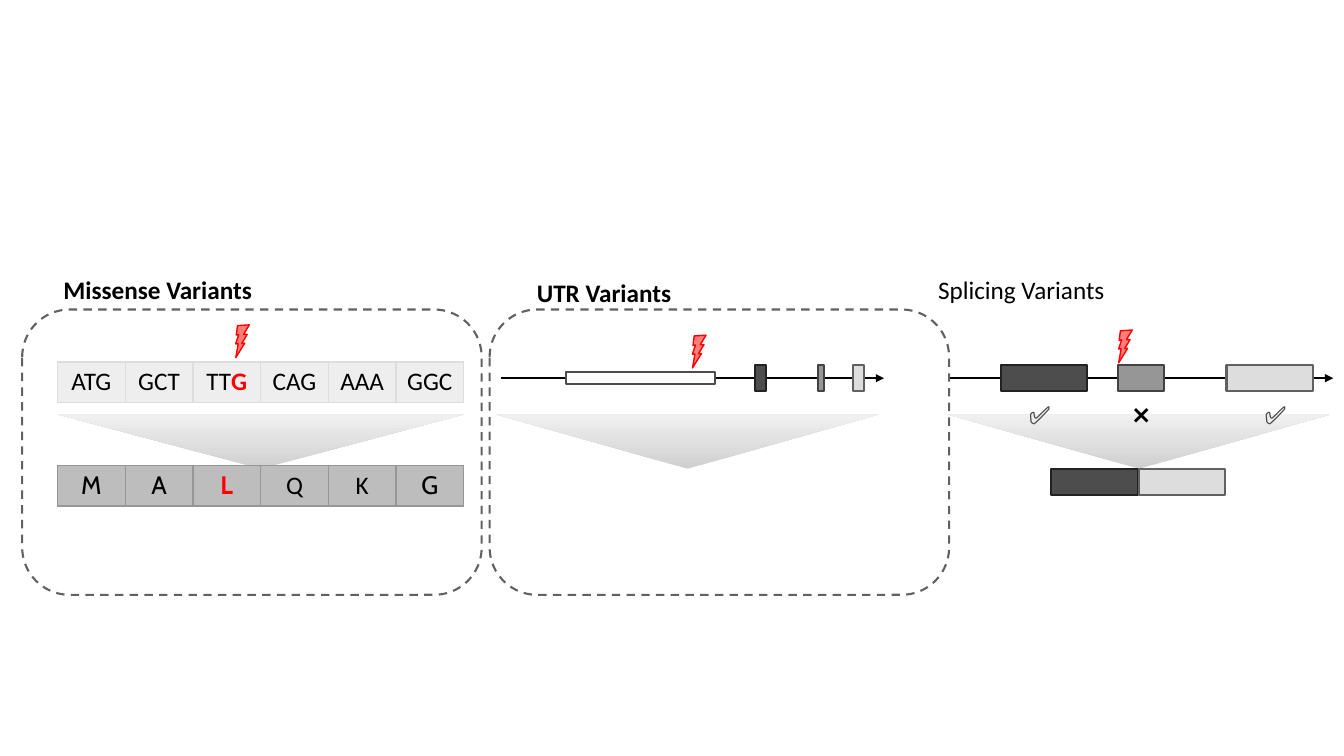
from lxml.etree import SubElement
from pptx import Presentation
from pptx.dml.color import RGBColor
from pptx.enum.dml import MSO_LINE
from pptx.enum.shapes import MSO_CONNECTOR, MSO_SHAPE
from pptx.enum.text import MSO_ANCHOR, PP_ALIGN
from pptx.oxml.ns import qn
from pptx.util import Cm, Pt

BLACK = RGBColor(0x00, 0x00, 0x00)
WHITE = RGBColor(0xFF, 0xFF, 0xFF)
RED = RGBColor(0xFF, 0x00, 0x00)
SALMON = RGBColor(0xFF, 0x7E, 0x79)
INK = RGBColor(0x22, 0x22, 0x22)
CHARCOAL = RGBColor(0x4D, 0x4D, 0x4D)
SLATE = RGBColor(0x42, 0x42, 0x42)
TICK_GRAY = RGBColor(0x47, 0x47, 0x47)
OUTLINE = RGBColor(0x61, 0x61, 0x61)
MID_GRAY = RGBColor(0x96, 0x96, 0x96)
SILVER = RGBColor(0xBD, 0xBD, 0xBD)
LIGHT_GRAY = RGBColor(0xDD, 0xDD, 0xDD)
PALE_GRAY = RGBColor(0xEE, 0xEE, 0xEE)
FUNNEL_DARK = RGBColor(0xD0, 0xD0, 0xD0)
FUNNEL_LIGHT = RGBColor(0xF0, 0xF0, 0xF0)

EXON_STYLES = [(CHARCOAL, INK), (MID_GRAY, SLATE), (LIGHT_GRAY, OUTLINE)]
EXON_HEIGHT = 0.66
PANEL_TOP, PANEL_WIDTH, PANEL_HEIGHT = 7.8, 11.58, 7.19
AXIS_DROP, FUNNEL_DROP = 1.73, 2.64
CODONS = [("ATG", ""), ("GCT", ""), ("TT", "G"), ("CAG", ""), ("AAA", ""), ("GGC", "")]
AMINO_ACIDS = [("M", ""), ("A", ""), ("", "L"), ("Q", ""), ("K", ""), ("G", "")]


def add_outlined(shapes, kind, left, top, width, height, fill, line, weight=1.5):
    outlined = shapes.add_shape(kind, Cm(left), Cm(top), Cm(width), Cm(height))
    outlined.shadow.inherit = False
    if fill is None:
        outlined.fill.background()
    else:
        outlined.fill.solid()
        outlined.fill.fore_color.rgb = fill
    outlined.line.color.rgb = line
    outlined.line.width = Pt(weight)
    return outlined


def add_exon(shapes, left, top, width, style, height=EXON_HEIGHT):
    add_outlined(shapes, MSO_SHAPE.RECTANGLE, left, top, width, height, *style)


def add_frame(shapes, left, top):
    frame = add_outlined(shapes, MSO_SHAPE.ROUNDED_RECTANGLE, left, top,
                         PANEL_WIDTH, PANEL_HEIGHT, None, OUTLINE)
    frame.line.dash_style = MSO_LINE.DASH


def add_bolt(shapes, left, top):
    bolt = add_outlined(shapes, MSO_SHAPE.LIGHTNING_BOLT, left, top, 0.69, 0.69,
                        SALMON, RED, 1)
    bolt.rotation = 331.8
    bolt._element.spPr.find(qn("a:xfrm")).set("flipH", "1")


def add_funnel(shapes, left, top, width):
    funnel = shapes.add_shape(MSO_SHAPE.ISOSCELES_TRIANGLE, Cm(left), Cm(top),
                              Cm(width), Cm(1.37))
    funnel.shadow.inherit = False
    funnel.rotation = 180
    funnel.line.fill.background()
    funnel.fill.gradient()
    funnel.fill.gradient_angle = 270
    for stop, shade in zip(funnel.fill.gradient_stops, (FUNNEL_DARK, FUNNEL_LIGHT)):
        stop.color.rgb = shade


def add_axis(shapes, left, top, right):
    axis = shapes.add_connector(MSO_CONNECTOR.STRAIGHT, Cm(left), Cm(top), Cm(right), Cm(top))
    axis.line.color.rgb = BLACK
    axis.line.width = Pt(1.5)
    SubElement(axis.line._get_or_add_ln(), qn("a:tailEnd"), type="triangle")
    SubElement(axis._element.spPr, qn("a:effectLst"))


def add_label(shapes, left, top, width, wording, font_name="Calibri", color=BLACK,
              bold=False, align=PP_ALIGN.LEFT):
    label = shapes.add_textbox(Cm(left), Cm(top), Cm(width), Cm(1.02)).text_frame
    label.word_wrap = True
    line = label.paragraphs[0]
    line.text = wording
    line.alignment = align
    line.font.name = font_name
    line.font.size = Pt(18)
    line.font.bold = bold
    line.font.color.rgb = color


def add_sequence(shapes, left, top, width, units, fill, border, fonts):
    graphic = shapes.add_table(1, len(units), Cm(left), Cm(top), Cm(width), Cm(1.02))
    sequence = graphic.table
    sequence.first_row = sequence.horz_banding = False
    for cell, (regular, mutated), font_name in zip(sequence.iter_cells(), units, fonts):
        cell.margin_left = cell.margin_right = Cm(0.1)
        cell.margin_top = cell.margin_bottom = Cm(0.05)
        cell.vertical_anchor = MSO_ANCHOR.MIDDLE
        for side in ("lnL", "lnR", "lnT", "lnB"):
            edge = SubElement(cell._tc.get_or_add_tcPr(), qn(f"a:{side}"), w=str(Pt(1)))
            SubElement(SubElement(edge, qn("a:solidFill")), qn("a:srgbClr"), val=str(border))
        cell.fill.solid()
        cell.fill.fore_color.rgb = fill
        line = cell.text_frame.paragraphs[0]
        line.alignment = PP_ALIGN.CENTER
        line.font.name = font_name
        line.font.size = Pt(18)
        for wording, color, bold in ((regular, BLACK, False), (mutated, RED, True)):
            if wording:
                run = line.add_run()
                run.text = wording
                run.font.color.rgb = color
                run.font.bold = bold


def draw_missense(shapes, left, top):
    strand_left, strand_width = left + 0.89, 10.24
    add_bolt(shapes, left + 5.18, top + 0.4)
    add_label(shapes, left + 0.79, top - 1.02, 6.25, "Missense Variants", bold=True)
    add_funnel(shapes, strand_left, top + FUNNEL_DROP, strand_width)
    add_sequence(shapes, strand_left, top + 1.32, strand_width, CODONS,
                 PALE_GRAY, LIGHT_GRAY, ["Calibri"] * 6)
    add_sequence(shapes, strand_left, top + 3.93, strand_width, AMINO_ACIDS,
                 SILVER, MID_GRAY, ["Cabin"] * 3 + ["Calibri"] * 2 + ["Cabin"])
    add_frame(shapes, left, top)


def draw_utr(shapes, left, top):
    axis_top = top + AXIS_DROP
    add_funnel(shapes, left + 0.16, top + FUNNEL_DROP, 9.65)
    gene = shapes.add_group_shape().shapes
    add_axis(gene, left + 0.28, axis_top, left + 9.94)
    for (offset, width), style in zip([(6.68, 0.28), (8.28, 0.15), (9.15, 0.28)], EXON_STYLES):
        add_exon(gene, left + offset, axis_top - EXON_HEIGHT / 2, width, style)
    add_exon(gene, left + 1.93, axis_top - 0.15, 3.76, (WHITE, CHARCOAL), 0.3)
    add_label(shapes, left + 0.94, top - 0.94, 6.25, "UTR Variants", bold=True)
    add_bolt(shapes, left + 4.91, top + 0.66)
    add_frame(shapes, left, top)


def draw_splicing(shapes, left, top):
    axis_top = top + AXIS_DROP
    add_funnel(shapes, left, top + FUNNEL_DROP, 9.65)
    gene = shapes.add_group_shape().shapes
    add_axis(gene, left + 0.07, axis_top, left + 9.72)
    for (offset, width), style in zip([(1.34, 2.18), (4.29, 1.17), (7.03, 2.18)], EXON_STYLES):
        add_exon(gene, left + offset, axis_top - EXON_HEIGHT / 2, width, style)
    add_label(shapes, left - 0.49, top - 1.02, 6.25, "Splicing Variants")
    transcript = shapes.add_group_shape().shapes
    for offset, style in zip((2.61, 4.82), EXON_STYLES[::2]):
        add_exon(transcript, left + offset, top + 4.01, 2.18, style)
    for offset, mark, font_name, color in ((1.8, "✅", "Karla", TICK_GRAY),
                                           (7.74, "✅", "Karla", TICK_GRAY),
                                           (4.39, "❌", "Cabin", BLACK)):
        add_label(shapes, left + offset, top + 2.13, 0.99, mark, font_name, color,
                  align=PP_ALIGN.CENTER)
    add_bolt(shapes, left + 4.11, top + 0.53)


def main():
    deck = Presentation()
    deck.slide_width, deck.slide_height = Cm(33.87), Cm(19.05)
    shapes = deck.slides.add_slide(deck.slide_layouts[6]).shapes
    draw_splicing(shapes, 23.88, PANEL_TOP)
    draw_missense(shapes, 0.56, PANEL_TOP)
    draw_utr(shapes, 12.34, PANEL_TOP)
    deck.save("out.pptx")


if __name__ == "__main__":
    main()
